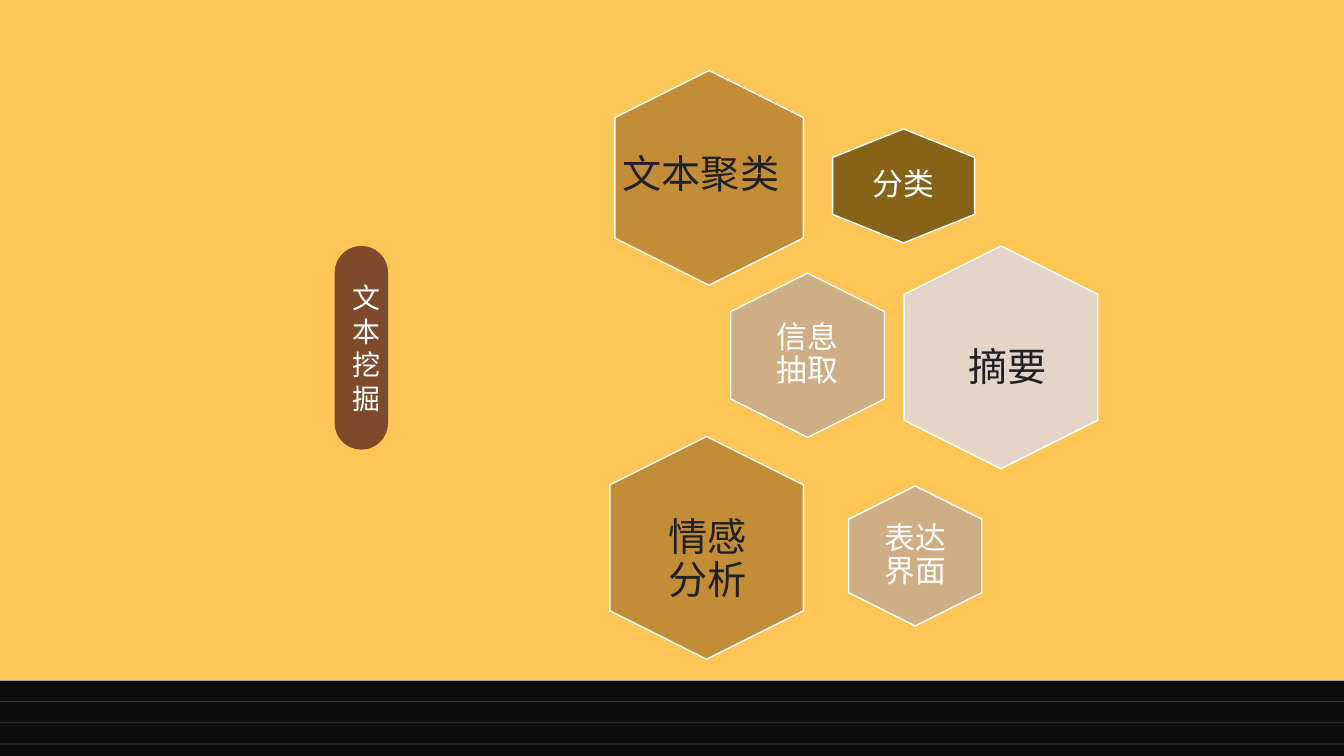
import pptx
import pptx.util
import pptx.dml.color
import pptx.enum.shapes
import pptx.enum.text
import pptx.oxml.ns
from lxml import etree

Pt = pptx.util.Pt
ALIGN = pptx.enum.text.PP_ALIGN
ANCHOR = pptx.enum.text.MSO_ANCHOR
SHAPE = pptx.enum.shapes.MSO_SHAPE

FONT = "Calibri"
WIDTH, HEIGHT = 960, 540
FLOOR_TOP, FLOOR_GAP, FLOOR_LINES = 486, 15.12, 4
LINE_OPACITY = 18000
COLORS = {
    "wall": "FFC557", "floor": "0D0D0D", "white": "FFFFFF", "ink": "202122",
    "pill": "7F4A2A", "ochre": "C38D38", "olive": "87631A",
    "tan": "CFAE85", "sand": "E3D6C9",
}
TOPIC = ("文本挖掘", (239.04, 175.68, 38.16, 145.44))

# Hexagons with their own text: text, box, fill, side and top insets
SMALL_HEXAGONS = [
    ("分类", (594.72, 92.16, 101.52, 81.36), "olive", (23.76, 20.16)),
    ("信息抽取", (522, 195.12, 109.8, 117.36), "tan", (24.48, 25.2)),
    ("表达界面", (606.24, 347.04, 95.04, 100.08), "tan", (22.32, 23.04)),
]
# Hexagons with a separate label: text, box, fill, label box, insets, anchor
LARGE_HEXAGONS = [
    ("文本聚类", (439.2, 50.4, 134.64, 153.36), "ochre",
     (393.12, 77.76, 172.08, 95.76), (8.64, 8.64), ANCHOR.MIDDLE),
    ("摘要", (645.84, 175.68, 138.24, 159.12), "sand",
     (662.4, 244.8, 92.16, 38.16), (7.2, 3.6), ANCHOR.TOP),
    ("情感分析", (435.6, 311.76, 138.24, 159.12), "ochre",
     (448.56, 366.48, 92.16, 68.4), (7.2, 3.6), ANCHOR.TOP),
]


def rgb(name):
    return pptx.dml.color.RGBColor.from_string(COLORS[name])


def points(values):
    return [Pt(value) for value in values]


def paint(shape, fill, outline=None):
    shape.shadow.inherit = False
    shape.fill.solid()
    shape.fill.fore_color.rgb = rgb(fill)
    if outline:
        shape.line.color.rgb = rgb(outline)
        shape.line.width = Pt(1)
    else:
        shape.line.fill.background()


def add_block(shapes, kind, box, fill):
    shape = shapes.add_shape(kind, *points(box))
    paint(shape, fill)
    return shape


def add_hexagon(shapes, box, fill):
    """Upright hexagon whose shoulders drop by a quarter of the shorter side."""
    left, top, width, height = box
    drop = min(width, height) / 4
    right, bottom, middle = left + width, top + height, left + width / 2
    corners = [(right, top + drop), (right, bottom - drop), (middle, bottom),
               (left, bottom - drop), (left, top + drop)]
    builder = shapes.build_freeform(Pt(middle), Pt(top))
    builder.add_line_segments([points(corner) for corner in corners], close=True)
    hexagon = builder.convert_to_shape()
    paint(hexagon, fill, "white")
    return hexagon


def write(shape, text, size, color, alignment, insets=(7.2, 3.6), anchor=ANCHOR.MIDDLE):
    frame = shape.text_frame
    frame.word_wrap = True
    frame.vertical_anchor = anchor
    frame.margin_left = frame.margin_right = Pt(insets[0])
    frame.margin_top = frame.margin_bottom = Pt(insets[1])
    frame.text = text
    paragraph = frame.paragraphs[0]
    paragraph.alignment = alignment
    font = paragraph.runs[0].font
    font.name, font.size = FONT, Pt(size)
    font.color.rgb = rgb(color)
    return paragraph


def tighten(paragraph):
    """Set 90% line spacing and 35% space after."""
    paragraph.line_spacing = 0.9
    paragraph.space_after = Pt(0)
    qn = pptx.oxml.ns.qn
    space_after = paragraph._p.pPr.find(qn("a:spcAft"))
    space_after.clear()
    etree.SubElement(space_after, qn("a:spcPct")).set("val", "35000")


def add_floor_line(shapes, y):
    qn = pptx.oxml.ns.qn
    line = shapes.add_connector(
        pptx.enum.shapes.MSO_CONNECTOR.STRAIGHT, *points((0, y, WIDTH, y)))
    line.line.color.rgb = rgb("white")
    line.line.width = Pt(0.5)
    properties = line._element.spPr
    color = properties.find(".//" + qn("a:srgbClr"))
    etree.SubElement(color, qn("a:alpha")).set("val", str(LINE_OPACITY))
    etree.SubElement(properties, qn("a:effectLst"))


def main():
    presentation = pptx.Presentation()
    presentation.slide_width, presentation.slide_height = Pt(WIDTH), Pt(HEIGHT)
    slide = presentation.slides.add_slide(presentation.slide_layouts[6])
    shapes = slide.shapes

    add_block(shapes, SHAPE.RECTANGLE, (0, FLOOR_TOP, WIDTH, HEIGHT - FLOOR_TOP), "floor")
    add_block(shapes, SHAPE.RECTANGLE, (0, 0, WIDTH, FLOOR_TOP), "wall")
    for index in range(FLOOR_LINES):
        add_floor_line(shapes, FLOOR_TOP + index * FLOOR_GAP)

    topic, topic_box = TOPIC
    pill = add_block(shapes, SHAPE.ROUNDED_RECTANGLE, topic_box, "pill")
    pill.adjustments[0] = 0.5
    write(pill, topic, 20, "white", ALIGN.CENTER)

    for text, box, fill, insets in SMALL_HEXAGONS:
        hexagon = add_hexagon(shapes, box, fill)
        tighten(write(hexagon, text, 22, "white", ALIGN.CENTER, insets))

    for text, box, fill, label_box, insets, anchor in LARGE_HEXAGONS:
        group = shapes.add_group_shape()
        add_hexagon(group.shapes, box, fill)
        label = group.shapes.add_textbox(*points(label_box))
        tighten(write(label, text, 28, "ink", ALIGN.RIGHT, insets, anchor))

    presentation.save("out.pptx")


if __name__ == "__main__":
    main()
